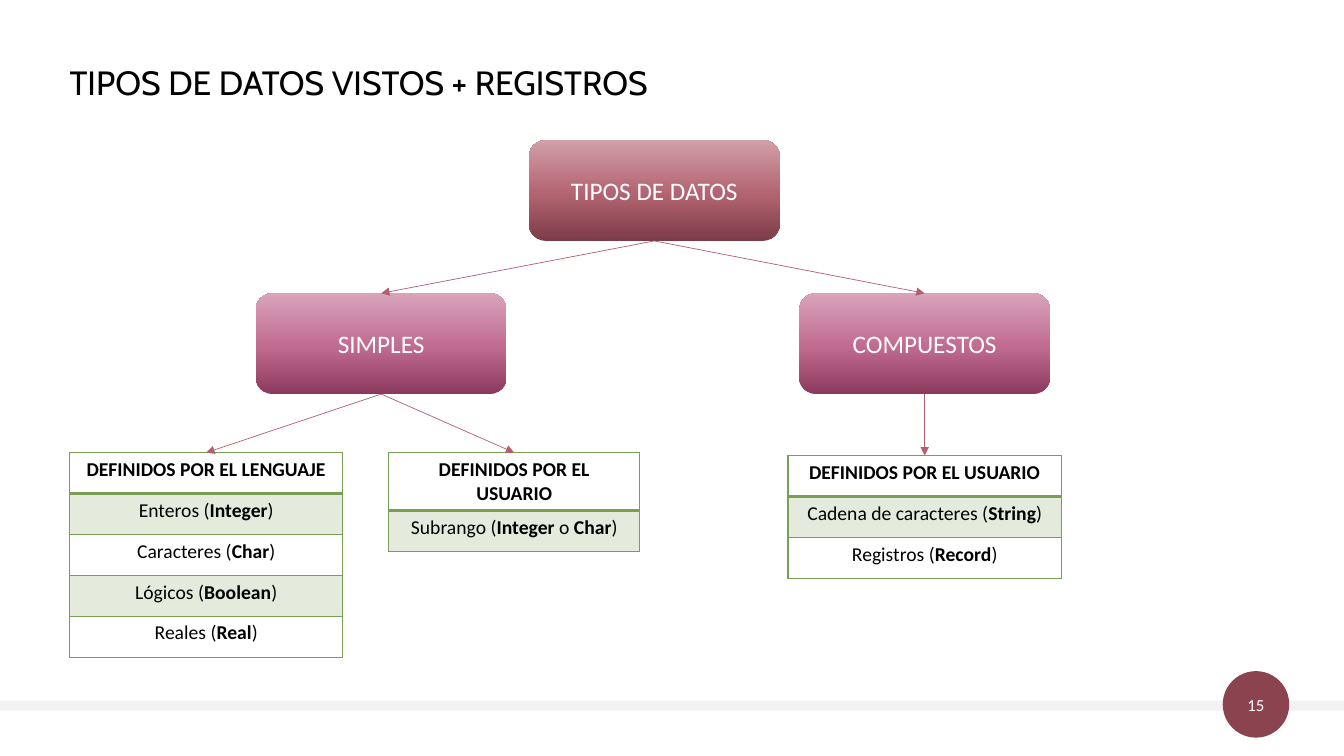
from copy import deepcopy
from dataclasses import dataclass

from lxml.etree import SubElement
from pptx import Presentation
from pptx.dml.color import RGBColor
from pptx.enum.shapes import MSO_CONNECTOR, MSO_SHAPE
from pptx.enum.text import MSO_ANCHOR, PP_ALIGN
from pptx.oxml import parse_xml
from pptx.oxml.ns import nsdecls, qn
from pptx.util import Pt

TITLE = "TIPOS DE DATOS VISTOS + REGISTROS"
PAGE = "15"
ROOT = ("TIPOS DE DATOS", 467.4, 100.1)
BRANCHES = [
    ("SIMPLES", 272.3, 209.5, [
        (147.3, 323.3, 195.2, [
            "*DEFINIDOS POR EL LENGUAJE*",
            "Enteros (*Integer*)",
            "Caracteres (*Char*)",
            "Lógicos (*Boolean*)",
            "Reales (*Real*)",
        ]),
        (367.3, 323.3, 179.3, [
            "*DEFINIDOS POR EL USUARIO*",
            "Subrango (*Integer* o *Char*)",
        ]),
    ]),
    ("COMPUESTOS", 660.5, 209.5, [
        (660.5, 325.4, 195.2, [
            "*DEFINIDOS POR EL USUARIO*",
            "Cadena de caracteres (*String*)",
            "Registros (*Record*)",
        ]),
    ]),
]
BOX_WIDTH, BOX_HEIGHT, ROW_HEIGHT = 179.3, 72, 29.25
TOP_SITE, BOTTOM_SITE = 0, 2


@dataclass(frozen=True)
class Theme:
    heading_font: str = "Cabin"
    body_font: str = "Calibri"
    title_size: int = 24
    box_size: int = 18
    cell_size: int = 14
    page_size: int = 12
    ink: str = "000000"
    paper: str = "FFFFFF"
    band: str = "F2F2F2"
    badge: str = "8A434F"
    arrow: str = "B2606E"
    green: str = "7A9E56"
    root_shades: tuple = ("7C3C47", "B46572", "D1A0A8")
    branch_shades: tuple = ("8B3A5E", "C16C91", "D9A4BB")
    shade_stops: tuple = (0, 0.48, 1)


THEME = Theme()


def rgb(code):
    return RGBColor.from_string(code)


def style(run, size, color, font=THEME.body_font, bold=False):
    run.font.name, run.font.size, run.font.bold = font, Pt(size), bold
    run.font.color.rgb = rgb(color)


def add_plain(slide, kind, left, top, width, height, color=None):
    shape = slide.shapes.add_shape(kind, Pt(left), Pt(top), Pt(width), Pt(height))
    shape.shadow.inherit = False
    shape.line.fill.background()
    if color:
        shape.fill.solid()
        shape.fill.fore_color.rgb = rgb(color)
    return shape


def add_label(shape, label, size):
    frame = shape.text_frame
    frame.text = label
    frame.vertical_anchor = MSO_ANCHOR.MIDDLE
    frame.paragraphs[0].alignment = PP_ALIGN.CENTER
    style(frame.paragraphs[0].runs[0], size, THEME.paper)


def add_box(slide, label, center, top, shades):
    box = add_plain(slide, MSO_SHAPE.FLOWCHART_ALTERNATE_PROCESS,
                    center - BOX_WIDTH / 2, top, BOX_WIDTH, BOX_HEIGHT)
    box.fill.gradient()
    stops = next(box.element.iter(qn("a:gsLst")))
    stops.append(deepcopy(stops[-1]))
    for stop, position, shade in zip(box.fill.gradient_stops, THEME.shade_stops, shades):
        stop.position = position
        stop.color.rgb = rgb(shade)
    box.fill.gradient_angle = 90
    add_label(box, label, THEME.box_size)
    return box


def add_arrow(slide, parent, center, top, child=None):
    arrow = slide.shapes.add_connector(MSO_CONNECTOR.STRAIGHT, 0, 0, Pt(center), Pt(top))
    arrow.begin_connect(parent, BOTTOM_SITE)
    if child is not None:
        arrow.end_connect(child, TOP_SITE)
    arrow.line.color.rgb = rgb(THEME.arrow)
    arrow.line.width = Pt(0.5)
    properties = arrow.element.spPr
    SubElement(arrow.line._get_or_add_ln(), qn("a:tailEnd"), type="triangle")
    SubElement(properties, qn("a:effectLst"))


def set_borders(cell, widths):
    properties = cell._tc.get_or_add_tcPr()
    for index, (side, width) in enumerate(zip("LRTB", widths)):
        properties.insert(index, parse_xml(
            f'<a:ln{side} {nsdecls("a")} w="{Pt(width)}"><a:solidFill>'
            f'<a:srgbClr val="{THEME.green}"/></a:solidFill></a:ln{side}>'))


def fill_cell(cell, entry, row):
    if row % 2:
        cell.fill.solid()
        cell.fill.fore_color.rgb = rgb(THEME.green)
        tint = next(cell._tc.tcPr.iter(qn("a:srgbClr")))
        SubElement(tint, qn("a:alpha"), val="20000")
    else:
        cell.fill.background()
    set_borders(cell, (1, 1, 2 if row == 1 else 1, 2 if row == 0 else 1))
    paragraph = cell.text_frame.paragraphs[0]
    paragraph.alignment = PP_ALIGN.CENTER
    for index, piece in enumerate(entry.split("*")):
        if piece:
            run = paragraph.add_run()
            run.text = piece
            style(run, THEME.cell_size, THEME.ink, bold=index % 2 == 1)


def add_type_table(slide, center, top, width, entries):
    table = slide.shapes.add_table(
        len(entries), 1, Pt(center - width / 2), Pt(top),
        Pt(width), Pt(ROW_HEIGHT * len(entries))).table
    table.first_row = table.horz_banding = False
    for row, entry in enumerate(entries):
        fill_cell(table.cell(row, 0), entry, row)


def add_title(slide):
    title = slide.shapes.title
    title.left, title.top, title.width, title.height = Pt(49.7), Pt(43.9), Pt(851.8), Pt(65.5)
    frame = title.text_frame
    frame.text = TITLE
    frame.margin_left = 0
    frame.vertical_anchor = MSO_ANCHOR.TOP
    heading = frame.paragraphs[0]
    heading.alignment = PP_ALIGN.LEFT
    heading.line_spacing = 0.9
    style(heading.runs[0], THEME.title_size, THEME.ink, THEME.heading_font)


def add_footer(slide):
    add_plain(slide, MSO_SHAPE.RECTANGLE, 0, 500.4, 960, 7.2, THEME.band)
    badge = add_plain(slide, MSO_SHAPE.OVAL, 873.4, 479.4, 47.5, 47.5, THEME.badge)
    frame = badge.text_frame
    frame.margin_left = frame.margin_right = frame.margin_top = frame.margin_bottom = 0
    add_label(badge, PAGE, THEME.page_size)


def main():
    deck = Presentation()
    deck.slide_width, deck.slide_height = Pt(960), Pt(540)
    slide = deck.slides.add_slide(deck.slide_layouts[5])
    add_footer(slide)
    add_title(slide)
    root = add_box(slide, *ROOT, THEME.root_shades)
    for label, center, top, groups in BRANCHES:
        branch = add_box(slide, label, center, top, THEME.branch_shades)
        add_arrow(slide, root, center, top, branch)
        for group_center, group_top, width, entries in groups:
            add_type_table(slide, group_center, group_top, width, entries)
            add_arrow(slide, branch, group_center, group_top)
    deck.save("out.pptx")


if __name__ == "__main__":
    main()
